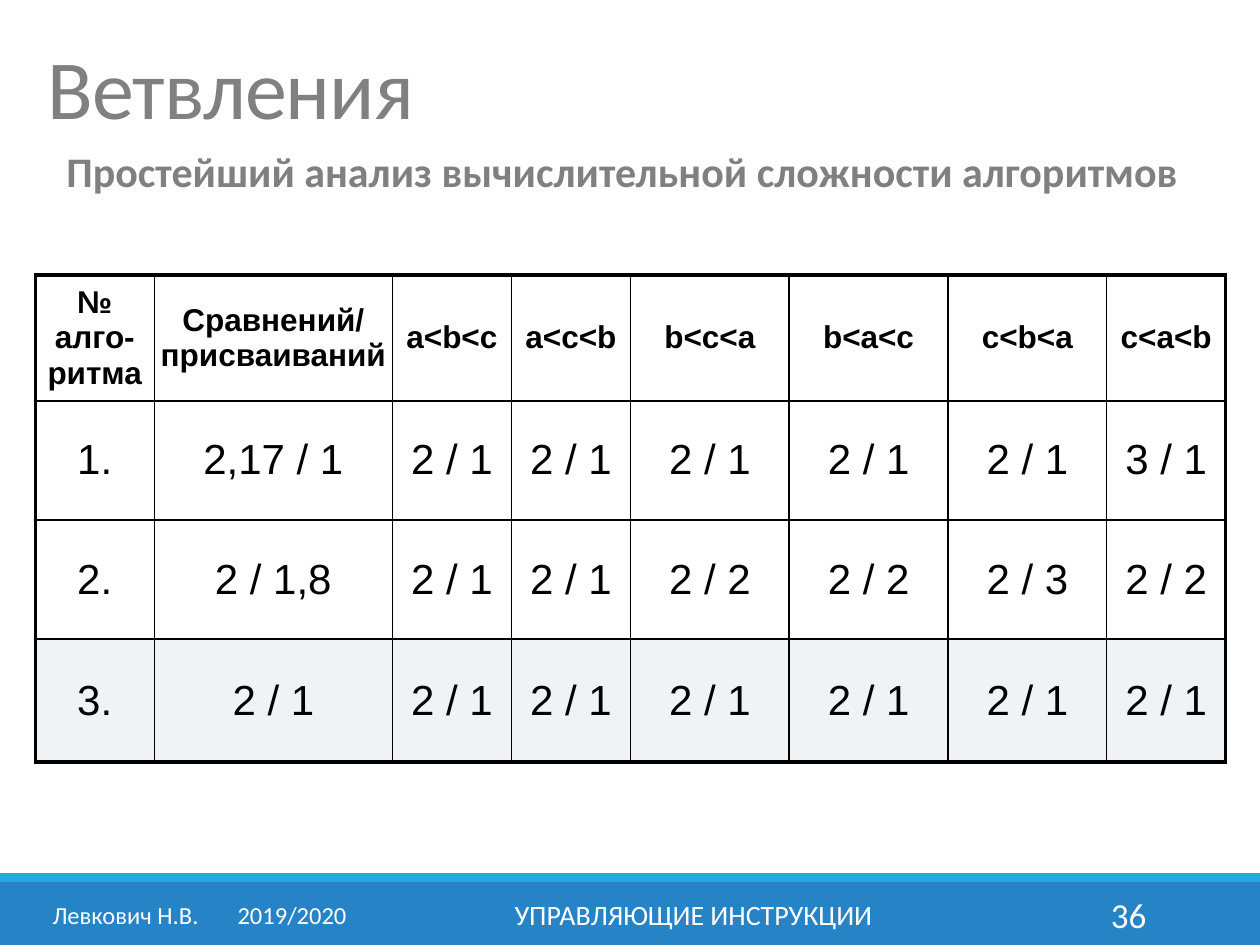
from lxml import etree
from pptx import Presentation
from pptx.dml.color import RGBColor
from pptx.enum import shapes, text
from pptx.oxml import ns
from pptx.util import Cm, Pt

BLACK = RGBColor(0x00, 0x00, 0x00)
WHITE = RGBColor(0xFF, 0xFF, 0xFF)
GRAY = RGBColor(0x80, 0x80, 0x80)
BLUE = RGBColor(0x26, 0x83, 0xC6)
SKY = RGBColor(0x1C, 0xAD, 0xE4)
PALE = RGBColor(0xF0, 0xF3, 0xF5)

LEFT, CENTER, RIGHT = text.PP_ALIGN.LEFT, text.PP_ALIGN.CENTER, text.PP_ALIGN.RIGHT
TOP, MIDDLE = text.MSO_ANCHOR.TOP, text.MSO_ANCHOR.MIDDLE

COLUMN_WIDTHS = [2.4, 4.8, 2.4, 2.4, 3.2, 3.2, 3.2, 2.4]
ROW_HEIGHTS = [2.54, 2.4, 2.4, 2.48]
TABLE_ROWS = [
    ["№ алго-ритма", "Сравнений/\vприсваиваний",
     "a<b<c", "a<c<b", "b<c<a", "b<a<c", "c<b<a", "c<a<b"],
    ["1.", "2,17 / 1", "2 / 1", "2 / 1", "2 / 1", "2 / 1", "2 / 1", "3 / 1"],
    ["2.", "2 / 1,8", "2 / 1", "2 / 1", "2 / 2", "2 / 2", "2 / 3", "2 / 2"],
    ["3."] + ["2 / 1"] * 7,
]


def write(paragraph, content, color, alignment=LEFT, **formats):
    """Fill a paragraph and apply the font formats to its runs."""
    paragraph.text = content
    paragraph.alignment = alignment
    for run in paragraph.runs:
        run.font.color.rgb = color
        for name, value in formats.items():
            setattr(run.font, name, value)


def add_label(slide, box, content, color, anchor=MIDDLE, **formats):
    """Add a wrapped text box and return its paragraph."""
    frame = slide.shapes.add_textbox(*map(Cm, box)).text_frame
    frame.word_wrap = True
    frame.vertical_anchor = anchor
    paragraph = frame.paragraphs[0]
    write(paragraph, content, color, name="Calibri", **formats)
    return paragraph


def add_bar(slide, box, color):
    """Add a plain filled rectangle."""
    bar = slide.shapes.add_shape(shapes.MSO_SHAPE.RECTANGLE, *map(Cm, box))
    bar.shadow.inherit = False
    bar.fill.solid()
    bar.fill.fore_color.rgb = color
    bar.line.fill.background()


def add_heading(slide, box):
    """Add the title and the subtitle below it."""
    left, top, width, height = box
    title = add_label(slide, (left, top, width, 2.72), "Ветвления", GRAY, size=Pt(48))
    title.line_spacing = 0.85
    title.runs[0].font._element.set("spc", "-50")
    subtitle = add_label(
        slide, (left + 0.38, top + height - 1.4, width - 1.1, 1.4),
        "Простейший анализ вычислительной сложности алгоритмов",
        GRAY, TOP, size=Pt(24), bold=True)
    subtitle.line_spacing = 0.9


def set_borders(cell, widths):
    """Draw the cell's borders from a dict of side to width in points."""
    properties = cell._tc.get_or_add_tcPr()
    for side, width in widths.items():
        line = etree.SubElement(properties, ns.qn(f"a:ln{side}"), w=str(Pt(width)))
        fill = etree.SubElement(line, ns.qn("a:solidFill"))
        etree.SubElement(fill, ns.qn("a:srgbClr"), val=str(BLACK))


def add_complexity_table(slide, box):
    """Add the comparison table with a heavy outer frame."""
    last_row, last_column = len(ROW_HEIGHTS) - 1, len(COLUMN_WIDTHS) - 1
    table = slide.shapes.add_table(
        last_row + 1, last_column + 1, *map(Cm, box)).table
    table.first_row = table.horz_banding = False
    for column, width in zip(table.columns, COLUMN_WIDTHS):
        column.width = Cm(width)
    for row, height in zip(table.rows, ROW_HEIGHTS):
        row.height = Cm(height)
    for i, values in enumerate(TABLE_ROWS):
        for j, value in enumerate(values):
            cell = table.cell(i, j)
            cell.vertical_anchor = MIDDLE
            if i == 0 and j < 2:
                cell.margin_left = cell.margin_right = Cm(0.1)
            write(cell.text_frame.paragraphs[0], value, BLACK, CENTER,
                  name="Arial", size=Pt(18 if i == 0 else 24), bold=i == 0)
            edges = {"L": j == 0, "R": j == last_column,
                     "T": i == 0, "B": i == last_row}
            set_borders(cell, {side: 2.25 if outer else 1
                               for side, outer in edges.items()})
            if i == last_row:
                cell.fill.solid()
                cell.fill.fore_color.rgb = PALE
            else:
                cell.fill.background()


def add_footer(slide, box):
    """Add the two bars with author, topic and slide number."""
    left, top, width, height = box
    add_bar(slide, (left, top + 0.18, width, height - 0.18), BLUE)
    add_bar(slide, (left, top, width, 0.18), SKY)
    labels = [
        (0.81, 6.63, "Левкович Н.В.\t2019/2020", LEFT, 14),
        (7.67, 12.62, "УПРАВЛЯЮЩИЕ ИНСТРУКЦИИ", CENTER, 16),
        (20.62, 2.74, "36", RIGHT, 20),
    ]
    for x, label_width, content, alignment, size in labels:
        paragraph = add_label(
            slide, (left + x, top + 0.33, label_width, 1.02), content, WHITE,
            alignment=alignment, size=Pt(size))
        if "\t" in content:
            properties = paragraph._p.get_or_add_pPr()
            tabs = etree.SubElement(properties, ns.qn("a:tabLst"))
            etree.SubElement(tabs, ns.qn("a:tab"), pos=str(Cm(3.73)), algn="l")


def main():
    """Build the slide and save it."""
    presentation = Presentation()
    presentation.slide_width, presentation.slide_height = Cm(25.4), Cm(19.05)
    slide = presentation.slides.add_slide(presentation.slide_layouts[6])
    add_heading(slide, (0.71, 0.53, 24.21, 3.79))
    add_complexity_table(
        slide, (0.71, 5.54, sum(COLUMN_WIDTHS), sum(ROW_HEIGHTS)))
    add_footer(slide, (0, 17.6, 25.4, 1.45))
    presentation.save("out.pptx")


if __name__ == "__main__":
    main()
